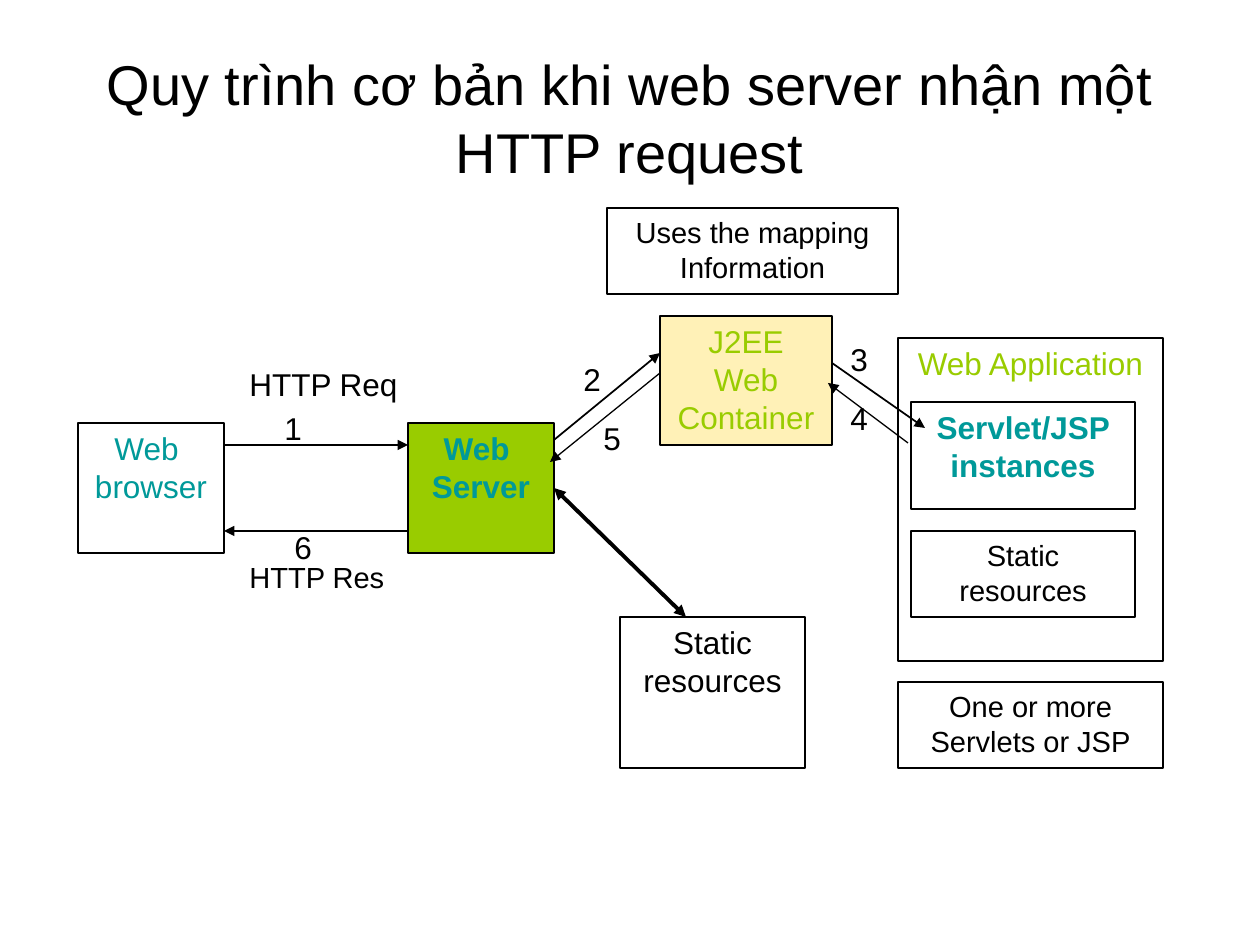
from dataclasses import dataclass

from lxml import etree
from pptx import Presentation
from pptx.dml.color import RGBColor
from pptx.enum.shapes import MSO_CONNECTOR, MSO_SHAPE
from pptx.enum.text import MSO_ANCHOR, PP_ALIGN
from pptx.oxml.ns import qn
from pptx.util import Pt

LEFT, CENTER = PP_ALIGN.LEFT, PP_ALIGN.CENTER
TOP, MIDDLE = MSO_ANCHOR.TOP, MSO_ANCHOR.MIDDLE
RECTANGLE = MSO_SHAPE.RECTANGLE
STRAIGHT = MSO_CONNECTOR.STRAIGHT
EMU_PER_PX = 914400 / 126


@dataclass(frozen=True)
class Theme:
    font: str = "Arial"
    black: RGBColor = RGBColor(0x00, 0x00, 0x00)
    white: RGBColor = RGBColor(0xFF, 0xFF, 0xFF)
    teal: RGBColor = RGBColor(0x00, 0x99, 0x99)
    green: RGBColor = RGBColor(0x99, 0xCC, 0x00)
    cream: RGBColor = RGBColor(0xFF, 0xF1, 0xB7)
    title: float = 32
    body: float = 18
    small: float = 16.6
    outline: float = 0.75


theme = Theme()


def px(*lengths):
    return [round(length * EMU_PER_PX) for length in lengths]


def write(shape, text, size, color, alignment=CENTER, bold=False, anchor=TOP):
    frame = shape.text_frame
    frame.word_wrap = True
    frame.vertical_anchor = anchor
    frame.text = text
    for paragraph in frame.paragraphs:
        paragraph.alignment = alignment
        paragraph.font.name = theme.font
        paragraph.font.size = Pt(size)
        paragraph.font.bold = bold
        paragraph.font.color.rgb = color


presentation = Presentation()
presentation.slide_width, presentation.slide_height = px(1260, 945)
slide = presentation.slides.add_slide(presentation.slide_layouts[6])

title = slide.shapes.add_textbox(*px(63, 38, 1134, 158))
write(title, "Quy trình cơ bản khi web server nhận một HTTP request",
      theme.title, theme.black, anchor=MIDDLE)

captions = [
    ("HTTP Req", (237, 359, 185, 64), theme.body),
    ("HTTP Res", (237, 553, 171, 64), theme.small),
]
for text, bounds, size in captions:
    caption = slide.shapes.add_shape(RECTANGLE, *px(*bounds))
    caption.shadow.inherit = False
    caption.fill.solid()
    caption.fill.fore_color.rgb = theme.white
    caption.line.fill.background()
    write(caption, text, size, theme.black, LEFT)

boxes = [
    ("Web \nbrowser", (78, 423, 146, 130), theme.white, theme.body, theme.teal, False),
    ("Web \nServer", (408, 423, 146, 130), theme.green, theme.body, theme.teal, True),
    ("Uses the mapping Information", (607, 208, 291, 86), theme.white, theme.small, theme.black, False),
    ("J2EE Web Container", (660, 316, 172, 129), theme.cream, theme.body, theme.green, False),
    ("Static resources", (620, 617, 185, 151), theme.white, theme.body, theme.black, False),
    ("Web Application", (898, 338, 265, 323), theme.white, theme.body, theme.green, False),
    ("Servlet/JSP instances", (911, 402, 224, 107), theme.white, theme.body, theme.teal, True),
    ("Static resources", (911, 531, 224, 86), theme.white, theme.small, theme.black, False),
    ("One or more Servlets or JSP", (898, 682, 265, 86), theme.white, theme.small, theme.black, False),
]
for text, bounds, fill, size, color, bold in boxes:
    box = slide.shapes.add_shape(RECTANGLE, *px(*bounds))
    box.shadow.inherit = False
    box.fill.solid()
    box.fill.fore_color.rgb = fill
    box.line.color.rgb = theme.black
    box.line.width = Pt(theme.outline)
    write(box, text, size, color, bold=bold)

arrows = [
    ((224, 445, 408, 445), 1.5, ["tailEnd"]),
    ((408, 531, 224, 531), 1.5, ["tailEnd"]),
    ((554, 440, 660, 353), 1, ["tailEnd"]),
    ((660, 373, 550, 462), 0.75, ["tailEnd"]),
    ((832, 363, 925, 428), 1, ["tailEnd"]),
    ((908, 443, 828, 383), 0.75, ["tailEnd"]),
    ((554, 488, 686, 617), 2.25, ["headEnd", "tailEnd"]),
]
for ends, width, heads in arrows:
    arrow = slide.shapes.add_connector(STRAIGHT, *px(*ends))
    arrow.line.color.rgb = theme.black
    arrow.line.width = Pt(width)
    outline = arrow.line._get_or_add_ln()
    for head in heads:
        etree.SubElement(outline, qn(f"a:{head}"), type="triangle")
    etree.SubElement(arrow._element.spPr, qn("a:effectLst"))

step_positions = [(272, 403), (571, 354), (838, 334), (838, 393), (591, 413), (282, 522)]
for number, (left, top) in enumerate(step_positions, start=1):
    step = slide.shapes.add_textbox(*px(left, top, 49, 50))
    write(step, str(number), theme.body, theme.black, LEFT)

presentation.save("out.pptx")
